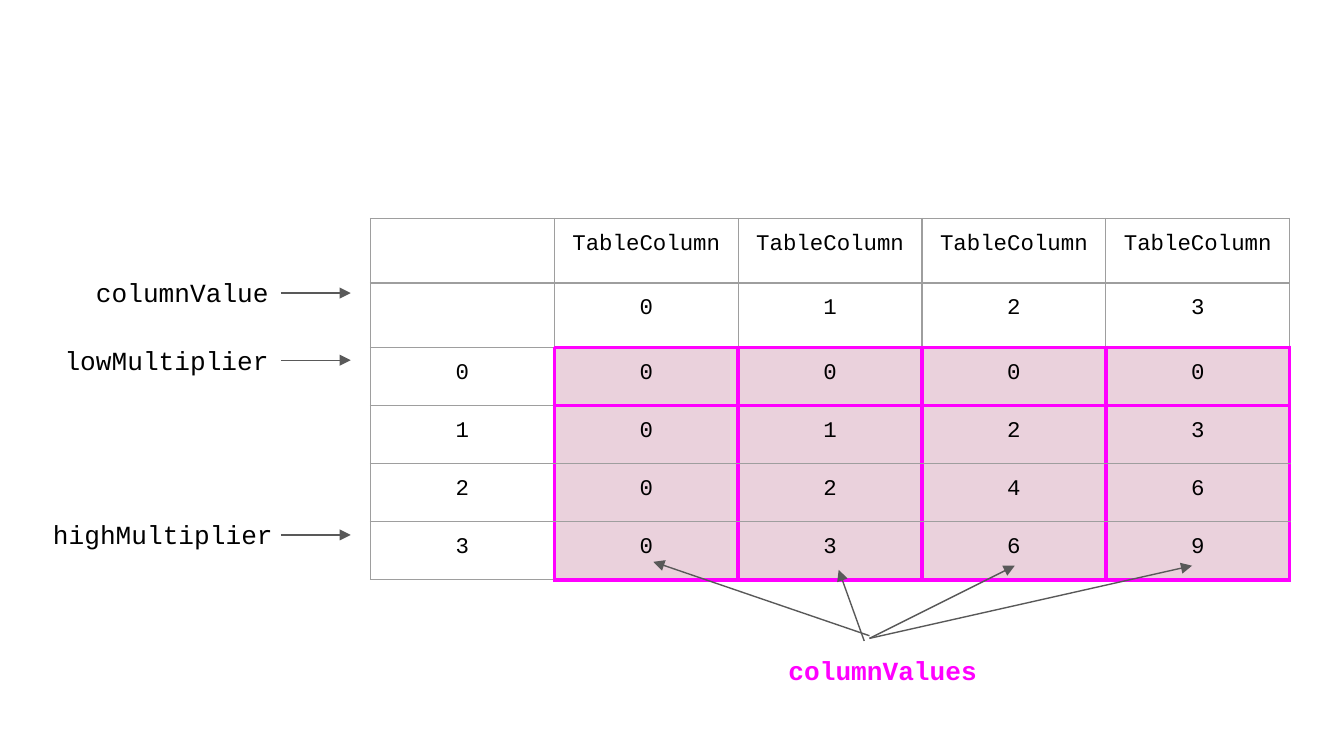
from lxml.etree import SubElement
from pptx import Presentation
from pptx.dml.color import RGBColor
from pptx.enum.shapes import MSO_CONNECTOR
from pptx.enum.text import MSO_AUTO_SIZE, PP_ALIGN
from pptx.oxml.ns import qn
from pptx.util import Pt

BLACK = RGBColor(0x00, 0x00, 0x00)
WHITE = RGBColor(0xFF, 0xFF, 0xFF)
PINK = RGBColor(0xEA, 0xD1, 0xDC)
HOT = RGBColor(0xFF, 0x00, 0xFF)
GREY = RGBColor(0x9E, 0x9E, 0x9E)
DARK = RGBColor(0x59, 0x59, 0x59)
FONT = "Courier New"
INSET = Pt(7.2)

COUNT = 4
HEADS = 2
COL = 98.5
ROWS = [34.6] * HEADS + [31.1] * COUNT
LEFT, TOP = 198.5, 117
HOT_ROWS = (HEADS, HEADS + 1, HEADS + COUNT)

# Text, left, top and width of each row label
LABELS = [
    ("lowMultiplier", 16.6, 177.1, 134.6),
    ("highMultiplier", 10.1, 270.7, 143.3),
    ("columnValue", 16.6, 141.1, 134.6),
]
# Start and tip of each arrow that points at a cell
FAN = [
    ((465.8, 340.6), (350, 301)),
    ((465.8, 342), (543.6, 303.1)),
    ((465.8, 342), (638.6, 303.1)),
    ((463, 343.4), (449.3, 305.3)),
]


def add_run(para, text, size, color=BLACK, bold=False):
    """Add one styled run to a paragraph."""
    run = para.add_run()
    run.text = text
    font = run.font
    font.name, font.size, font.bold = FONT, Pt(size), bold
    font.color.rgb = color


def set_edge(cell, side, hot):
    """Draw one border of a cell, hot or grey."""
    color, width = (HOT, 2.25) if hot else (GREY, 0.75)
    props = cell._tc.get_or_add_tcPr()
    line = SubElement(props, qn(f"a:ln{side}"), w=str(Pt(width)))
    fill = SubElement(line, qn("a:solidFill"))
    SubElement(fill, qn("a:srgbClr"), val=str(color))


def cell_text(row, col):
    """Give the text that belongs in a cell of the times table."""
    if row >= HEADS:
        low = row - HEADS
        return str(low if col == 0 else low * (col - 1))
    if col == 0:
        return ""
    return "TableColumn" if row == 0 else str(col - 1)


def fill_cell(cell, row, col):
    """Set the borders, fill and text of one cell."""
    body = row >= HEADS
    inner = col > 0
    set_edge(cell, "L", body and inner)
    set_edge(cell, "R", body)
    set_edge(cell, "T", inner and row in HOT_ROWS)
    set_edge(cell, "B", inner and row + 1 in HOT_ROWS)
    cell.fill.solid()
    cell.fill.fore_color.rgb = PINK if body and inner else WHITE
    text = cell_text(row, col)
    if text:
        cell.margin_left = cell.margin_right = INSET
        cell.margin_top = cell.margin_bottom = INSET
        para = cell.text_frame.paragraphs[0]
        para.alignment = PP_ALIGN.CENTER
        add_run(para, text, 12)


def add_grid(slide):
    """Add the times table."""
    cols = COUNT + 1
    frame = slide.shapes.add_table(
        len(ROWS), cols, Pt(LEFT), Pt(TOP), Pt(COL * cols), Pt(sum(ROWS)))
    table = frame.table
    table.first_row = table.horz_banding = False
    for col in table.columns:
        col.width = Pt(COL)
    for row, high in enumerate(ROWS):
        table.rows[row].height = Pt(high)
        for col in range(cols):
            fill_cell(table.cell(row, col), row, col)


def add_label(slide, text, left, top, width, color=BLACK, bold=False):
    """Add a right-aligned label."""
    box = slide.shapes.add_textbox(Pt(left), Pt(top), Pt(width), Pt(31.7))
    frame = box.text_frame
    frame.word_wrap = True
    frame.auto_size = MSO_AUTO_SIZE.SHAPE_TO_FIT_TEXT
    frame.margin_left = frame.margin_right = INSET
    frame.margin_top = frame.margin_bottom = INSET
    para = frame.paragraphs[0]
    para.alignment = PP_ALIGN.RIGHT
    add_run(para, text, 14, color, bold)


def add_arrow(slide, start, tip):
    """Add a thin line with an arrowhead at its tip."""
    ends = [Pt(n) for n in (*start, *tip)]
    line = slide.shapes.add_connector(MSO_CONNECTOR.STRAIGHT, *ends)
    line.line.color.rgb = DARK
    line.line.width = Pt(0.75)
    SubElement(line.line._get_or_add_ln(), qn("a:tailEnd"), type="triangle")
    SubElement(line._element.spPr, qn("a:effectLst"))


def main():
    """Build the slide and save it."""
    deck = Presentation()
    deck.slide_width, deck.slide_height = Pt(720), Pt(405)
    slide = deck.slides.add_slide(deck.slide_layouts[6])
    add_grid(slide)
    for text, left, top, width in LABELS:
        add_label(slide, text, left, top, width)
        mid = top + 15.9
        add_arrow(slide, (150.5, mid), (187.9, mid))
    add_label(slide, "columnValues", 396, 343.4, 134.6, HOT, True)
    for start, tip in FAN:
        add_arrow(slide, start, tip)
    deck.save("out.pptx")


main()
